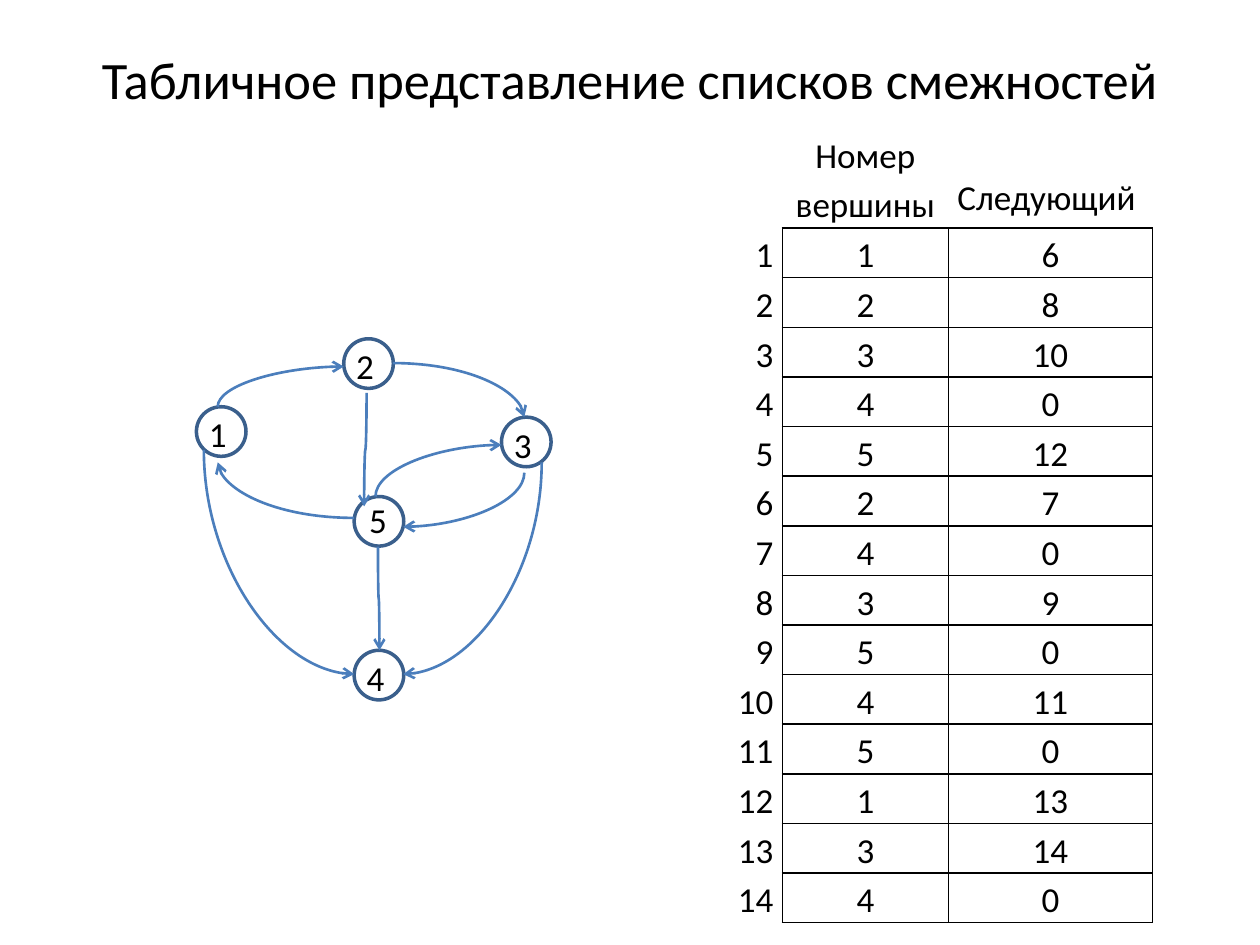
from dataclasses import dataclass

from lxml import etree
from pptx import Presentation
from pptx import util as u
from pptx.dml.color import RGBColor
from pptx.enum import shapes, text
from pptx.oxml.ns import qn

BLACK = RGBColor(0x00, 0x00, 0x00)
RING = RGBColor(0x3A, 0x5F, 0x8C)
EDGE = RGBColor(0x4B, 0x7E, 0xBC)
FONT = "Calibri"
LEFT, MID, RIGHT = text.PP_ALIGN.LEFT, text.PP_ALIGN.CENTER, text.PP_ALIGN.RIGHT
SIZE = 1.0  # node diameter and table row height, cm


@dataclass
class Node:
    name: str
    x: float
    y: float
    dx: float = 0  # shift of the label
    dy: float = 0


@dataclass
class Arc:
    x0: float
    y0: float
    x1: float
    y1: float
    flat: bool = False  # leaves its start sideways
    bend: int = 2  # curved connector variant


NODES = [
    Node("1", 3.96, 8.2),
    Node("2", 6.93, 6.83),
    Node("3", 10.11, 8.41),
    Node("4", 7.14, 13.11),
    Node("5", 7.14, 10.01, 0.05, -0.08),
]
ARCS = [
    Arc(4.39, 8.2, 6.93, 7.39),
    Arc(10.57, 9.53, 8.13, 10.62),
    Arc(7.39, 7.92, 7.34, 10.21, bend=3),
    Arc(7.57, 10.01, 10.11, 8.97),
    Arc(7.14, 10.44, 4.39, 9.32, flat=True),
    Arc(7.92, 7.32, 10.57, 8.41, flat=True),
    Arc(4.11, 9.07, 7.14, 13.59),
    Arc(7.62, 11.02, 7.65, 13.11, bend=3),
    Arc(10.92, 9.32, 8.13, 13.59),
]
WIDTHS = [2.08, 3.35, 4.11]
HEAD = 2.01
ROWS = [(1, 6), (2, 8), (3, 10), (4, 0), (5, 12), (2, 7), (4, 0),
        (3, 9), (5, 0), (4, 11), (5, 0), (1, 13), (3, 14), (4, 0)]


def write(frame, words: str, *, size=20, align=LEFT, space=None) -> None:
    para = frame.paragraphs[0]
    para.alignment = align
    para.line_spacing = space
    run = para.add_run()
    run.text = words
    run.font.size = u.Pt(size)
    run.font.name = FONT
    run.font.color.rgb = BLACK


def label(slide, words: str, x, y, w, h, *, wrap=False, **style) -> None:
    frame = slide.shapes.add_textbox(u.Cm(x), u.Cm(y), u.Cm(w), u.Cm(h)).text_frame
    frame.word_wrap = wrap
    frame.vertical_anchor = text.MSO_ANCHOR.MIDDLE if wrap else text.MSO_ANCHOR.TOP
    write(frame, words, **style)


def border(cell, sides: str) -> None:
    props = cell._tc.get_or_add_tcPr()
    for spot, side in enumerate("LRTB"):
        line = etree.Element(qn(f"a:ln{side}"), w=str(u.Pt(1)))
        if side in sides:
            fill = etree.SubElement(line, qn("a:solidFill"))
            etree.SubElement(fill, qn("a:srgbClr"), val=str(BLACK))
        else:
            etree.SubElement(line, qn("a:noFill"))
        props.insert(spot, line)


def draw_table(slide) -> None:
    frame = slide.shapes.add_table(
        len(ROWS) + 1, len(WIDTHS), u.Cm(13.69), u.Cm(2.59),
        u.Cm(sum(WIDTHS)), u.Cm(HEAD + SIZE * len(ROWS)))
    table = frame.table
    table.first_row = table.horz_banding = False
    for col, width in zip(table.columns, WIDTHS):
        col.width = u.Cm(width)
    grid = [("", "Номер вершины", "Следующий")]
    grid += [(i, *row) for i, row in enumerate(ROWS, 1)]
    for r, row in enumerate(grid):
        table.rows[r].height = u.Cm(SIZE if r else HEAD)
        for c, value in enumerate(row):
            cell = table.cell(r, c)
            cell.fill.background()
            cell.margin_left = cell.margin_right = u.Cm(0.18)
            # The one-line heading sits lower than its neighbour
            cell.margin_top = u.Cm(0.86 if (r, c) == (0, 2) else 0)
            cell.margin_bottom = 0
            if r and c:
                border(cell, "LRTB")
            else:
                border(cell, "R" if r else "B" if c else "")
            if value != "":
                align = RIGHT if c == 0 else LEFT if (r, c) == (0, 2) else MID
                write(cell.text_frame, str(value), align=align, space=1.15)


def draw_node(slide, node: Node) -> None:
    ring = slide.shapes.add_shape(
        shapes.MSO_SHAPE.OVAL, u.Cm(node.x), u.Cm(node.y), u.Cm(SIZE), u.Cm(SIZE))
    ring.shadow.inherit = False
    ring.fill.background()
    ring.line.color.rgb = RING
    ring.line.width = u.Pt(2)
    label(slide, node.name, node.x + node.dx, node.y + node.dy, 0.86, 1.12)


def draw_arc(slide, arc: Arc) -> None:
    wide, high = abs(arc.x1 - arc.x0), abs(arc.y1 - arc.y0)
    right, up = arc.x1 > arc.x0, arc.y1 < arc.y0
    if arc.flat:
        turn, flips = (0 if right else 180), {}
    else:
        # A steep start is a flat one turned on its side
        wide, high = high, wide
        turn = 270 if right and not up else 90
        flips = {"flipH": right, "flipV": up}
    x, y = (arc.x0 + arc.x1 - wide) / 2, (arc.y0 + arc.y1 - high) / 2
    line = slide.shapes.add_connector(
        shapes.MSO_CONNECTOR.CURVE, u.Cm(x), u.Cm(y), u.Cm(x + wide), u.Cm(y + high))
    line.line.color.rgb = EDGE
    line.line.width = u.Pt(1.5)
    props = line._element.spPr
    frame = props.find(qn("a:xfrm"))
    frame.set("rot", str(turn * 60000))
    for flip, on in flips.items():
        if on:
            frame.set(flip, "1")
    props.find(qn("a:prstGeom")).set("prst", f"curvedConnector{arc.bend}")
    etree.SubElement(props.find(qn("a:ln")), qn("a:tailEnd"), type="arrow")
    etree.SubElement(props, qn("a:effectLst"))


def main() -> None:
    deck = Presentation()
    deck.slide_width, deck.slide_height = u.Cm(25.4), u.Cm(19.05)
    slide = deck.slides.add_slide(deck.slide_layouts[6])

    # Title
    label(slide, "Табличное представление списков смежностей",
          1.27, 0.76, 22.86, 1.63, wrap=True, size=30, align=MID)
    # Adjacency table
    draw_table(slide)
    # Graph
    for node in NODES:
        draw_node(slide, node)
    for arc in ARCS:
        draw_arc(slide, arc)

    deck.save("out.pptx")


if __name__ == "__main__":
    main()
